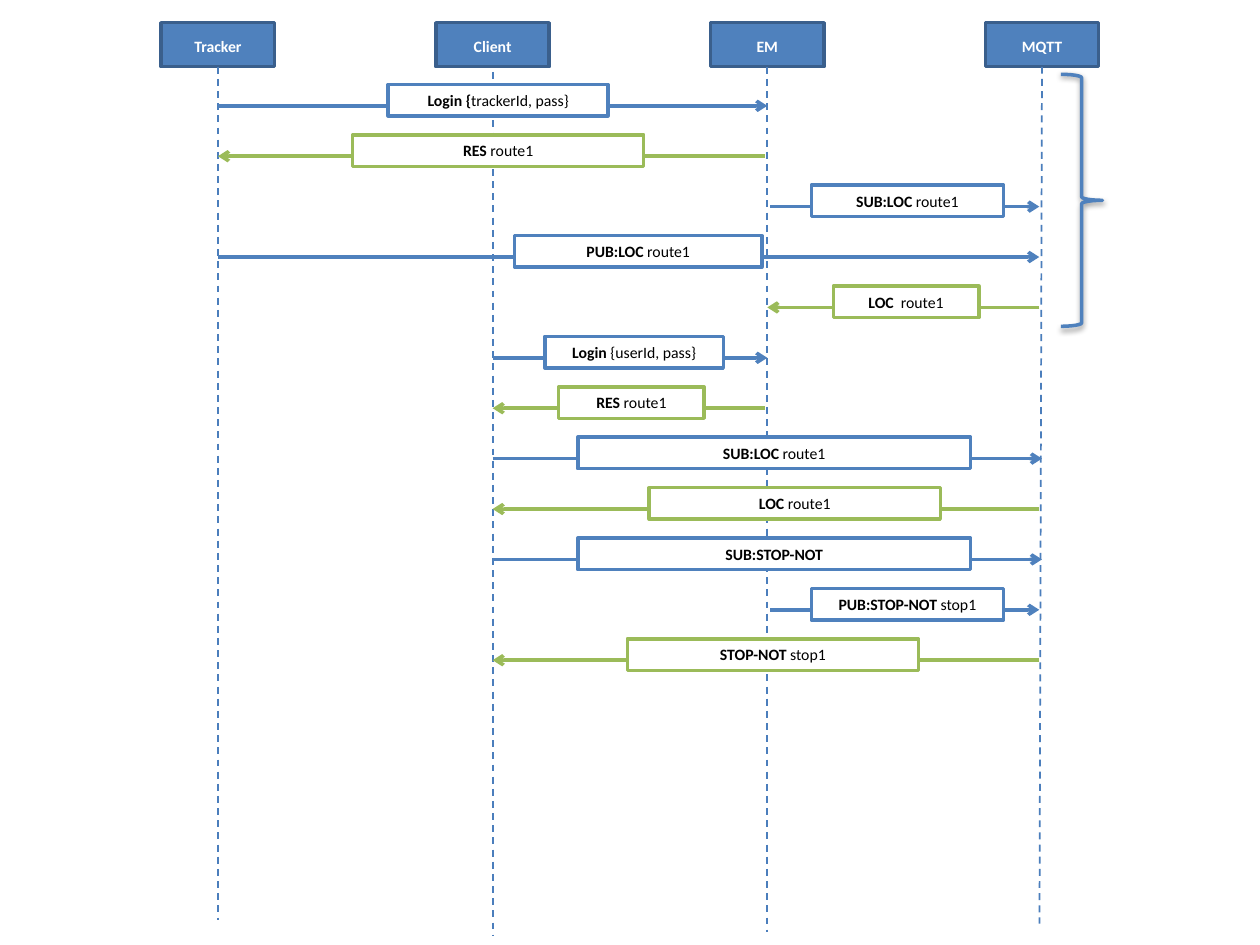
from typing import NamedTuple

from lxml import etree
from pptx import Presentation
from pptx.dml.color import RGBColor
from pptx.enum.dml import MSO_LINE
from pptx.enum.shapes import MSO_CONNECTOR, MSO_SHAPE
from pptx.enum.text import MSO_ANCHOR, MSO_AUTO_SIZE, PP_ALIGN
from pptx.oxml.ns import qn
from pptx.util import Inches, Pt

RECTANGLE = MSO_SHAPE.RECTANGLE
RIGHT_BRACE = MSO_SHAPE.RIGHT_BRACE
STRAIGHT = MSO_CONNECTOR.STRAIGHT
DASH = MSO_LINE.DASH
CENTER = PP_ALIGN.CENTER
TOP, MIDDLE = MSO_ANCHOR.TOP, MSO_ANCHOR.MIDDLE
GROW = MSO_AUTO_SIZE.SHAPE_TO_FIT_TEXT
BOTTOM_SITE = 2

COLORS = {
    "request": "4F81BD",
    "response": "9BBB59",
    "lifeline": "4B7EBC",
    "header_edge": "3A5F8C",
    "white": "FFFFFF",
    "black": "000000",
}
FONT, TEXT_SIZE = "Calibri", 9

# Grid: one column per participant, one row per message (inches)
FIRST_COLUMN, COLUMN_STEP = 1.73, 2.18
FIRST_ROW, ROW_STEP = 0.84, 0.4
HEADER_TOP, HEADER_WIDTH, HEADER_HEIGHT = 0.18, 0.9, 0.35
LABEL_RISE, LABEL_HEIGHT = 0.17, 0.25


class Participant(NamedTuple):
    name: str
    foot: float
    gap: float = 0
    lean: float = 0


class Message(NamedTuple):
    """Horizontal values are grid columns."""
    start: float
    end: float
    label_left: float
    label_width: float
    bold: str
    plain: str = ""


PARTICIPANTS = [
    Participant("Tracker", 7.3),
    Participant("Client", 7.42, gap=0.04),
    Participant("EM", 7.4),
    Participant("MQTT", 7.33, lean=-0.02),
]
MESSAGES = [
    Message(0, 2, 0.62, 0.8, "Login {", "trackerId, pass}"),
    Message(1.99, 0, 0.49, 1.06, "RES", " route1"),
    Message(2.01, 2.99, 2.16, 0.7, "SUB:LOC ", "route1"),
    Message(0, 2.99, 1.08, 0.9, "PUB:LOC ", "route1"),
    Message(2.99, 2, 2.24, 0.53, "LOC  ", "route1"),
    Message(1, 2, 1.19, 0.65, "Login ", "{userId, pass}"),
    Message(1.99, 1, 1.24, 0.53, "RES", " route1"),
    Message(1, 3, 1.31, 1.43, "SUB:LOC ", "route1"),
    Message(2.99, 1, 1.57, 1.06, "LOC ", "route1"),
    Message(1, 3, 1.31, 1.43, "SUB:STOP-NOT"),
    Message(2.01, 2.99, 2.16, 0.7, "PUB:STOP-NOT ", "stop1"),
    Message(2.99, 1, 1.49, 1.06, "STOP-NOT ", "stop1"),
]


def color(name: str) -> RGBColor:
    return RGBColor.from_string(COLORS[name])


def column_x(column: float) -> float:
    return FIRST_COLUMN + column * COLUMN_STEP


def add_box(slide, left: float, top: float, width: float, height: float,
            fill: str, edge: str, text_color: str):
    """Add an outlined rectangle and return it with its centred paragraph."""
    shape = slide.shapes.add_shape(
        RECTANGLE, Inches(left), Inches(top), Inches(width), Inches(height))
    shape.shadow.inherit = False
    shape.fill.solid()
    shape.fill.fore_color.rgb = color(fill)
    shape.line.color.rgb = color(edge)
    shape.line.width = Pt(2)
    paragraph = shape.text_frame.paragraphs[0]
    paragraph.alignment = CENTER
    paragraph.font.name = FONT
    paragraph.font.size = Pt(TEXT_SIZE)
    paragraph.font.color.rgb = color(text_color)
    return shape, paragraph


def add_line(slide, start: tuple[float, float], end: tuple[float, float],
             line_color: str, width: float):
    connector = slide.shapes.add_connector(
        STRAIGHT, *(Inches(value) for value in start + end))
    connector.line.color.rgb = color(line_color)
    connector.line.width = Pt(width)
    etree.SubElement(connector._element.spPr, qn("a:effectLst"))
    return connector


def draw_participant(slide, column: int, participant: Participant) -> None:
    x = column_x(column)
    header, paragraph = add_box(
        slide, x - HEADER_WIDTH / 2, HEADER_TOP, HEADER_WIDTH, HEADER_HEIGHT,
        "request", "header_edge", "white")
    header.text_frame.vertical_anchor = MIDDLE
    paragraph.line_spacing = 1.15
    paragraph.space_after = Pt(10)
    paragraph.font.bold = True
    paragraph.add_run().text = participant.name

    top = HEADER_TOP + HEADER_HEIGHT + participant.gap
    lifeline = add_line(slide, (x, top), (x + participant.lean, participant.foot),
                        "lifeline", 1)
    lifeline.line.dash_style = DASH
    if not participant.gap:
        lifeline.begin_connect(header, BOTTOM_SITE)


def draw_message(slide, row: int, message: Message) -> None:
    y = FIRST_ROW + row * ROW_STEP
    kind = "request" if message.end > message.start else "response"
    arrow = add_line(slide, (column_x(message.start), y),
                     (column_x(message.end), y), kind, 2)
    etree.SubElement(arrow.line._get_or_add_ln(), qn("a:tailEnd"), type="arrow")

    label, paragraph = add_box(
        slide, column_x(message.label_left), y - LABEL_RISE,
        message.label_width * COLUMN_STEP, LABEL_HEIGHT, "white", kind, "black")
    label.text_frame.vertical_anchor = TOP
    label.text_frame.auto_size = GROW
    bold_run = paragraph.add_run()
    bold_run.text = message.bold
    bold_run.font.bold = True
    if message.plain:
        paragraph.add_run().text = message.plain


def draw_brace(slide) -> None:
    brace = slide.shapes.add_shape(
        RIGHT_BRACE, Inches(8.42), Inches(0.59), Inches(0.33), Inches(5 * ROW_STEP))
    brace.fill.background()
    brace.line.color.rgb = color("request")
    brace.line.width = Pt(2)
    brace.shadow.inherit = False
    effects = brace._element.spPr.find(qn("a:effectLst"))
    shadow = etree.SubElement(
        effects, qn("a:outerShdw"), blurRad=str(Pt(3.1)), dist=str(Pt(1.6)),
        dir=str(90 * 60000), rotWithShape="0")
    shade = etree.SubElement(shadow, qn("a:srgbClr"), val=COLORS["black"])
    etree.SubElement(shade, qn("a:alpha"), val="38000")


def main() -> None:
    presentation = Presentation()
    presentation.slide_width = Inches(10)
    presentation.slide_height = Inches(7.5)
    slide = presentation.slides.add_slide(presentation.slide_layouts[6])
    for column, participant in enumerate(PARTICIPANTS):
        draw_participant(slide, column, participant)
    for row, message in enumerate(MESSAGES):
        draw_message(slide, row, message)
    draw_brace(slide)
    presentation.save("out.pptx")


if __name__ == "__main__":
    main()
